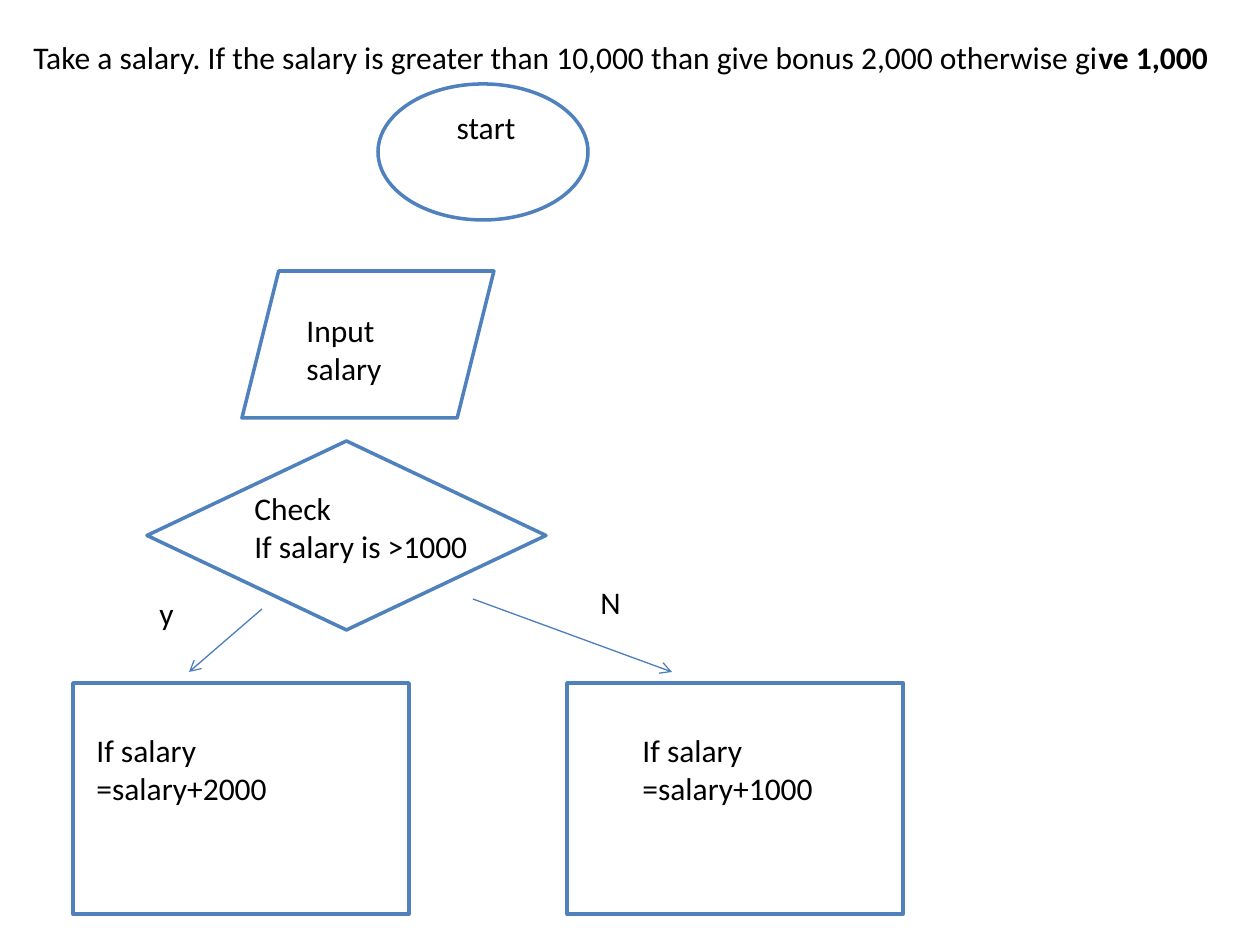
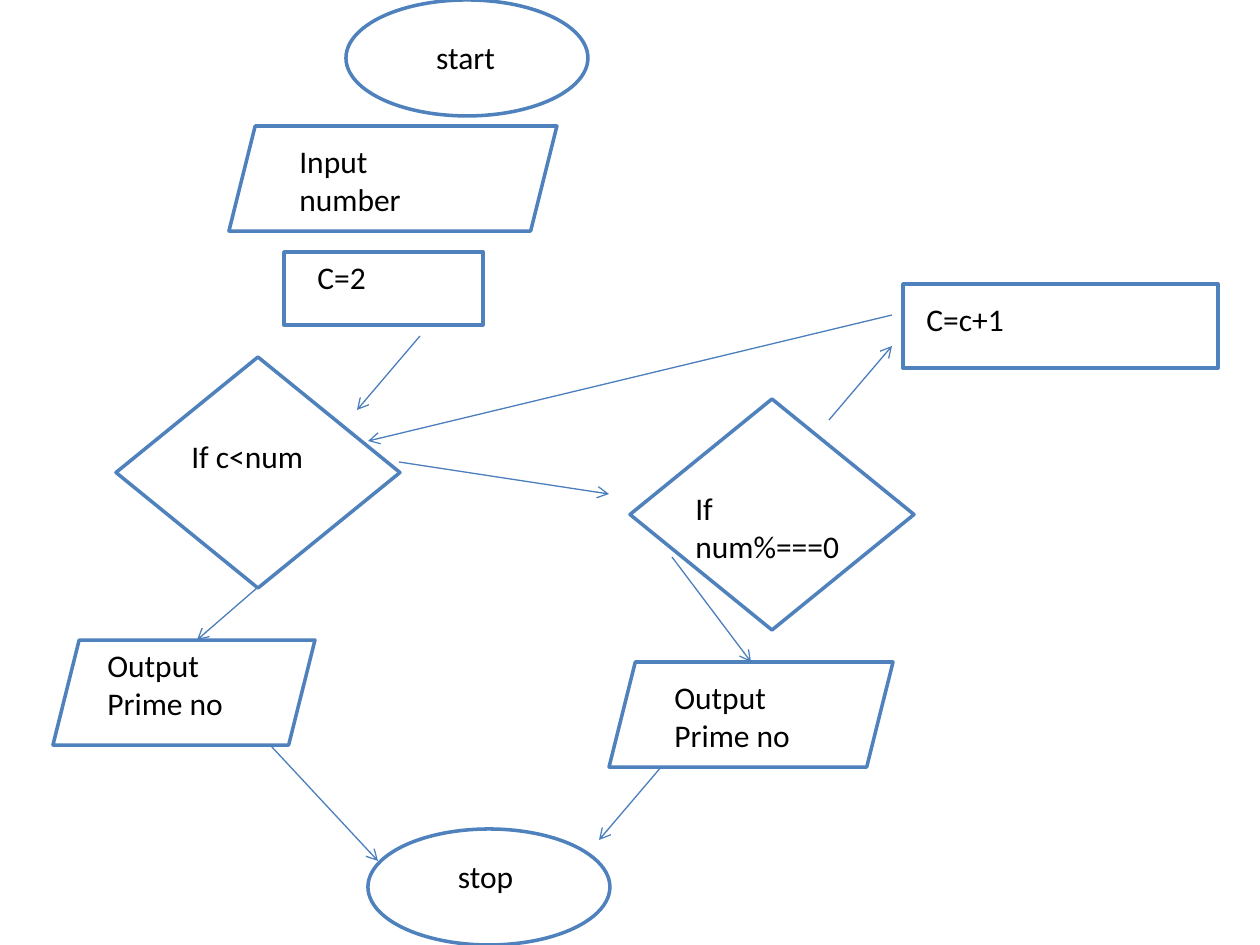
from dataclasses import dataclass

from lxml.etree import SubElement
from pptx import Presentation
from pptx.dml.color import RGBColor
from pptx.enum.shapes import MSO_CONNECTOR, MSO_SHAPE
from pptx.enum.text import MSO_AUTO_SIZE, PP_ALIGN
from pptx.oxml.ns import qn
from pptx.util import Pt


@dataclass(frozen=True)
class Theme:
    font: str = "Calibri"
    size: Pt = Pt(18)
    ink: RGBColor = RGBColor(0x00, 0x00, 0x00)
    paper: RGBColor = RGBColor(0xFF, 0xFF, 0xFF)
    outline: RGBColor = RGBColor(0x4F, 0x81, 0xBD)
    arrow: RGBColor = RGBColor(0x4B, 0x7E, 0xBC)
    outline_width: Pt = Pt(2)
    arrow_width: Pt = Pt(0.75)


theme = Theme()
SCALE = 914400 / 126  # EMU per pixel


def emu(pixels):
    return [round(value * SCALE) for value in pixels]


def write(slide, text, box, align=PP_ALIGN.LEFT, bold_end=""):
    """Each line of text is a paragraph; bold_end closes the last one in bold."""
    frame = slide.shapes.add_textbox(*emu(box)).text_frame
    frame.word_wrap = True
    frame.auto_size = MSO_AUTO_SIZE.SHAPE_TO_FIT_TEXT
    lines = text.split("\n")
    for number, line in enumerate(lines):
        paragraph = frame.paragraphs[0] if number == 0 else frame.add_paragraph()
        paragraph.alignment = align
        pieces = [(line, False)]
        if bold_end and number == len(lines) - 1:
            pieces.append((bold_end, True))
        for words, bold in pieces:
            run = paragraph.add_run()
            run.text = words
            run.font.name = theme.font
            run.font.size = theme.size
            run.font.color.rgb = theme.ink
            run.font.bold = bold


TERMINAL = MSO_SHAPE.OVAL
DATA = MSO_SHAPE.PARALLELOGRAM
DECISION = MSO_SHAPE.DIAMOND
PROCESS = MSO_SHAPE.RECTANGLE
CENTER = {"align": PP_ALIGN.CENTER}

# Bonus flowchart: symbols (kind, box), arrows (from, to), labels (text, box, format)
bonus_chart = {
    "symbols": [
        (TERMINAL, (378, 84, 210, 136)),
        (DATA, (242, 271, 252, 147)),
        (DECISION, (147, 441, 399, 189)),
        (PROCESS, (73, 683, 336, 231)),
        (PROCESS, (567, 683, 336, 231)),
    ],
    "arrows": [
        ((262, 609), (189, 672)),
        ((473, 599), (672, 672)),
    ],
    "labels": [
        ("Take a salary. If the salary is greater than 10,000 than give bonus 2,000 otherwise gi",
         (21, 32, 1207, 50), {"bold_end": "ve 1,000"}),
        ("start", (409, 102, 154, 50), CENTER),
        ("Input salary", (294, 305, 145, 89), {}),
        ("Check\nIf salary is >1000", (242, 483, 242, 127), {}),
        ("y", (147, 588, 53, 50), {}),
        ("N", (588, 577, 84, 53), {}),
        ("If salary =salary+2000", (84, 725, 284, 89), {}),
        ("If salary =salary+1000", (630, 725, 273, 89), {}),
    ],
}

# Prime number flowchart
prime_chart = {
    "symbols": [
        (TERMINAL, (346, 0, 242, 116)),
        (DATA, (229, 126, 328, 105)),
        (PROCESS, (284, 252, 199, 73)),
        (DECISION, (116, 357, 284, 231)),
        (DECISION, (630, 399, 284, 231)),
        (PROCESS, (903, 284, 315, 84)),
        (DATA, (53, 640, 262, 105)),
        (DATA, (609, 662, 284, 105)),
        (TERMINAL, (368, 829, 242, 116)),
    ],
    "arrows": [
        ((420, 336), (357, 410)),
        ((399, 462), (609, 494)),
        ((829, 420), (892, 346)),
        ((892, 315), (368, 441)),
        ((257, 588), (197, 640)),
        ((672, 557), (751, 662)),
        ((271, 746), (378, 861)),
        ((662, 766), (599, 840)),
    ],
    "labels": [
        ("start", (368, 32, 195, 53), CENTER),
        ("Input number", (287, 136, 152, 89), {}),
        ("C=2", (305, 252, 147, 50), {}),
        ("If c<num", (179, 431, 179, 50), {}),
        ("If\nnum%===0", (683, 483, 189, 89), {}),
        ("C=c+1", (914, 294, 284, 53), {}),
        ("Output\nPrime no", (95, 640, 189, 89), {}),
        ("Output\nPrime no", (662, 672, 189, 89), {}),
        ("stop", (388, 851, 195, 53), CENTER),
    ],
}

deck = Presentation()
deck.slide_width, deck.slide_height = emu((1260, 945))

for chart in (bonus_chart, prime_chart):
    slide = deck.slides.add_slide(deck.slide_layouts[6])

    # Symbols
    for kind, box in chart["symbols"]:
        symbol = slide.shapes.add_shape(kind, *emu(box))
        symbol.shadow.inherit = False
        symbol.fill.solid()
        symbol.fill.fore_color.rgb = theme.paper
        symbol.line.color.rgb = theme.outline
        symbol.line.width = theme.outline_width

    # Arrows
    for start, end in chart["arrows"]:
        arrow = slide.shapes.add_connector(MSO_CONNECTOR.STRAIGHT, *emu(start + end))
        arrow.line.color.rgb = theme.arrow
        arrow.line.width = theme.arrow_width
        SubElement(arrow.line._get_or_add_ln(), qn("a:tailEnd"), type="arrow")
        SubElement(arrow._element.spPr, qn("a:effectLst"))

    # Labels
    for text, box, style in chart["labels"]:
        write(slide, text, box, **style)

deck.save("out.pptx")
